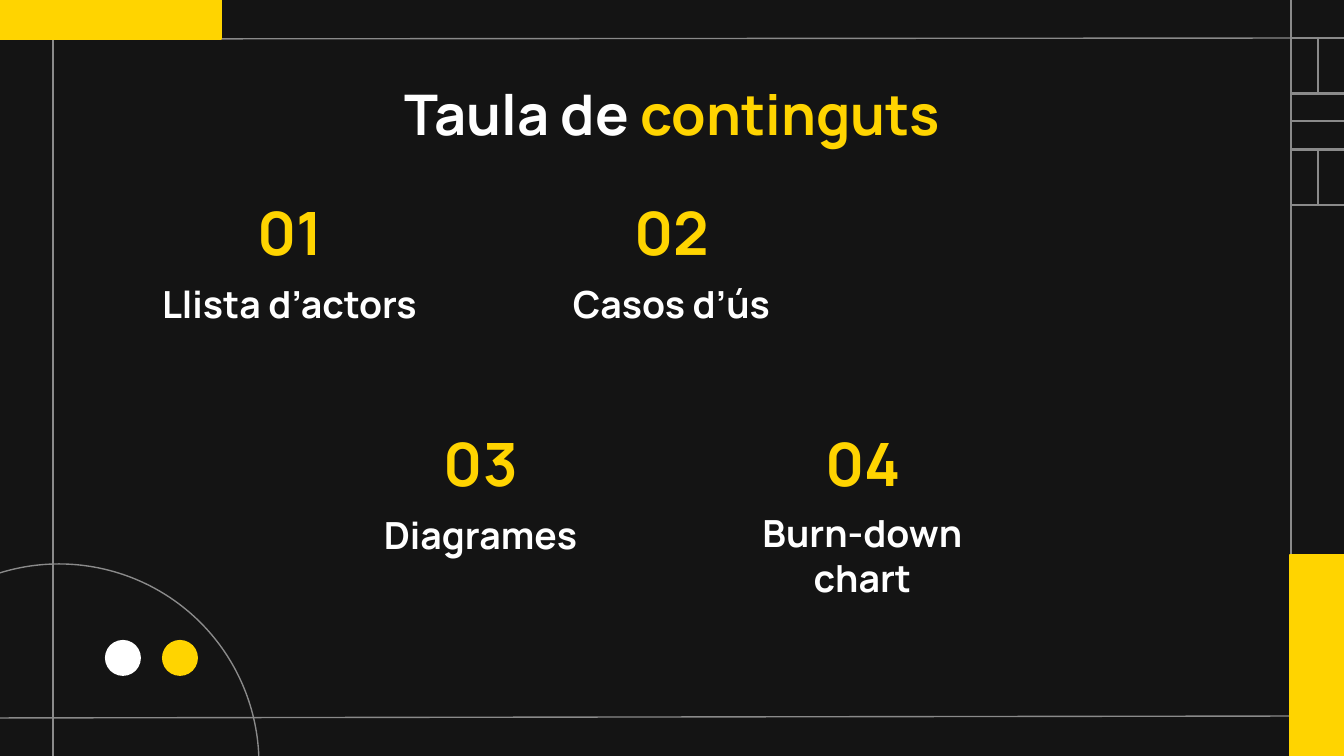
"""Build the table of contents slide."""
from lxml.etree import SubElement
from pptx import Presentation
from pptx.dml.color import RGBColor
from pptx.enum.shapes import MSO_CONNECTOR, MSO_SHAPE
from pptx.enum.text import MSO_ANCHOR, PP_ALIGN
from pptx.oxml.ns import qn
from pptx.util import Emu, Inches, Pt

SCALE = 914400 / 134.4
COLORS = {"back": "141414", "line": "8A8A8A", "gold": "FFD400", "white": "FFFFFF"}
ITEMS = [
    ("01", "Llista d’actors", 0, 0, 71),
    ("02", "Casos d’ús", 2, 0, 71),
    ("03", "Diagrames", 1, 1, 71),
    ("04", "Burn-down chart", 3, 1, 114),
]


def px(*values):
    return [Emu(round(value * SCALE)) for value in values]


def color(name):
    return RGBColor.from_string(COLORS[name])


def add_line(slide, *ends):
    line = slide.shapes.add_connector(MSO_CONNECTOR.STRAIGHT, *px(*ends))
    line.line.color.rgb = color("line")
    line.line.width = Pt(0.75)
    SubElement(line._element.spPr, qn("a:effectLst"))


def add_form(slide, kind, box, fill=None, edge=None):
    form = slide.shapes.add_shape(kind, *px(*box))
    form.shadow.inherit = False
    if fill:
        form.fill.solid()
        form.fill.fore_color.rgb = color(fill)
    else:
        form.fill.background()
    if edge:
        form.line.color.rgb = color(edge)
        form.line.width = Pt(0.75)
    else:
        form.line.fill.background()


def add_text(slide, box, runs, size, anchor):
    frame = slide.shapes.add_textbox(*px(*box)).text_frame
    sides = ("left", "top", "right", "bottom")
    format = {f"margin_{side}": Inches(0.1) for side in sides}
    format |= {"word_wrap": True, "vertical_anchor": anchor}
    for name, value in format.items():
        setattr(frame, name, value)
    para = frame.paragraphs[0]
    para.alignment = PP_ALIGN.CENTER
    for text, shade in runs:
        run = para.add_run()
        run.text = text
        for name, value in {"name": "Manrope", "size": Pt(size), "bold": True}.items():
            setattr(run.font, name, value)
        run.font.color.rgb = color(shade)


def add_frame(slide):
    add_line(slide, -4, 39, 1348, 38)
    add_line(slide, -4, 718, 1348, 716)
    for x in (53, 1291):
        add_line(slide, x, -1, x, 761)
    for row in range(3):
        top = 38 + 56 * row
        add_form(slide, MSO_SHAPE.RECTANGLE, (1291, top, 55, 55), edge="line")
        if row == 1:
            add_line(slide, 1291, top + 27, 1346, top + 27)
        else:
            add_line(slide, 1318, top, 1318, top + 55)
    for box in ((1290, 555, 54, 206), (0, -1, 221, 40)):
        add_form(slide, MSO_SHAPE.RECTANGLE, box, "gold", "gold")
    add_form(slide, MSO_SHAPE.OVAL, (-141, 564, 400, 400), edge="line")
    for left, fill in ((162, "gold"), (105, "white")):
        add_form(slide, MSO_SHAPE.OVAL, (left, 640, 36, 36), fill)


def add_item(slide, number, label, col, row, height):
    left, top = 127 + 191 * col, 199 + 231 * row
    add_text(slide, (left + 111, top, 104, 66), [(number, "gold")], 32, MSO_ANCHOR.MIDDLE)
    add_text(slide, (left, top + 69, 325, height), [(label, "white")], 20, MSO_ANCHOR.BOTTOM)


def main():
    deck = Presentation()
    deck.slide_width, deck.slide_height = px(1344, 756)
    slide = deck.slides.add_slide(deck.slide_layouts[6])
    slide.background.fill.solid()
    slide.background.fill.fore_color.rgb = color("back")
    add_frame(slide)
    title = [("Taula de ", "white"), ("continguts", "gold")]
    add_text(slide, (106, 66, 1133, 85), title, 30, MSO_ANCHOR.TOP)
    for item in ITEMS:
        add_item(slide, *item)
    deck.save("out.pptx")


if __name__ == "__main__":
    main()
